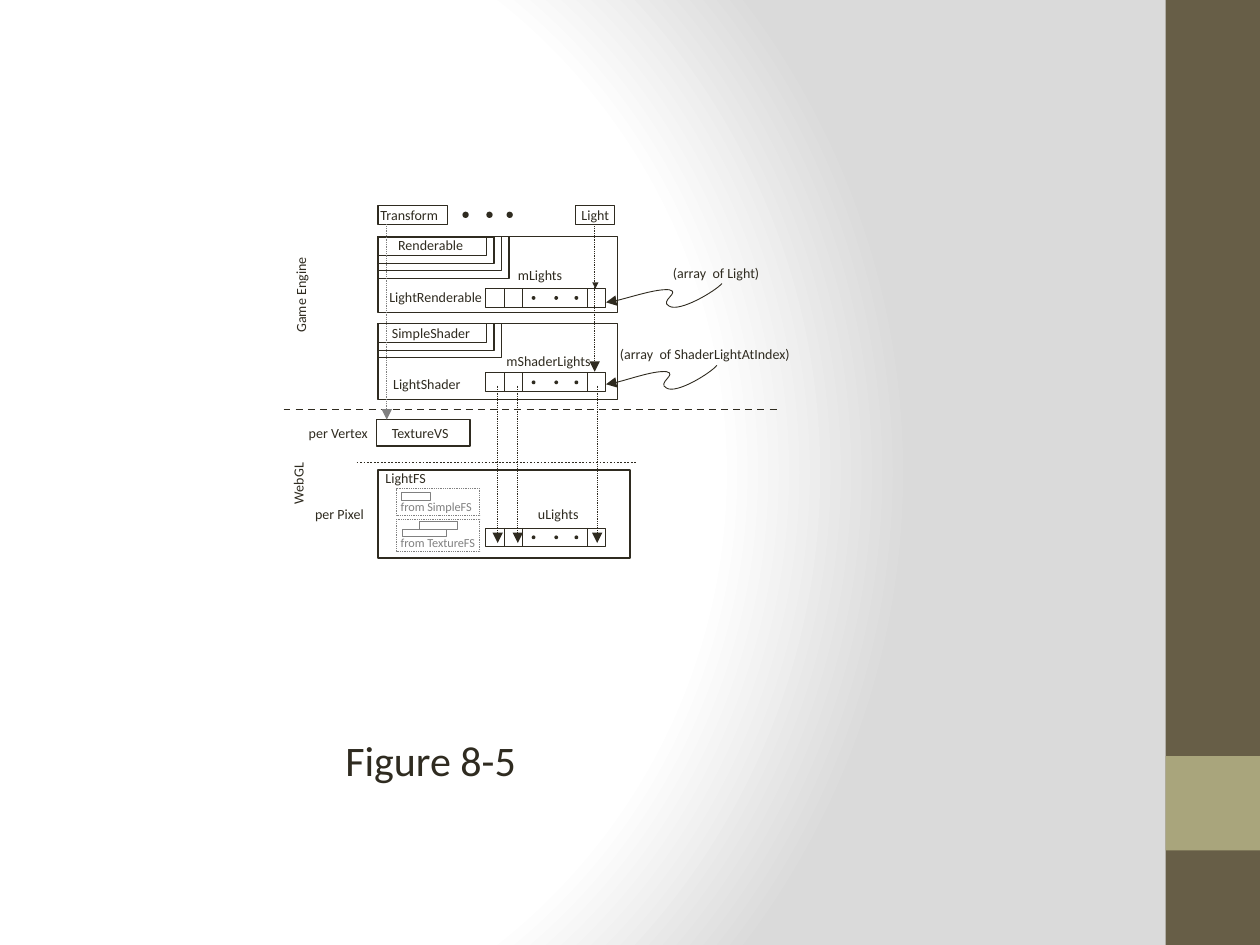
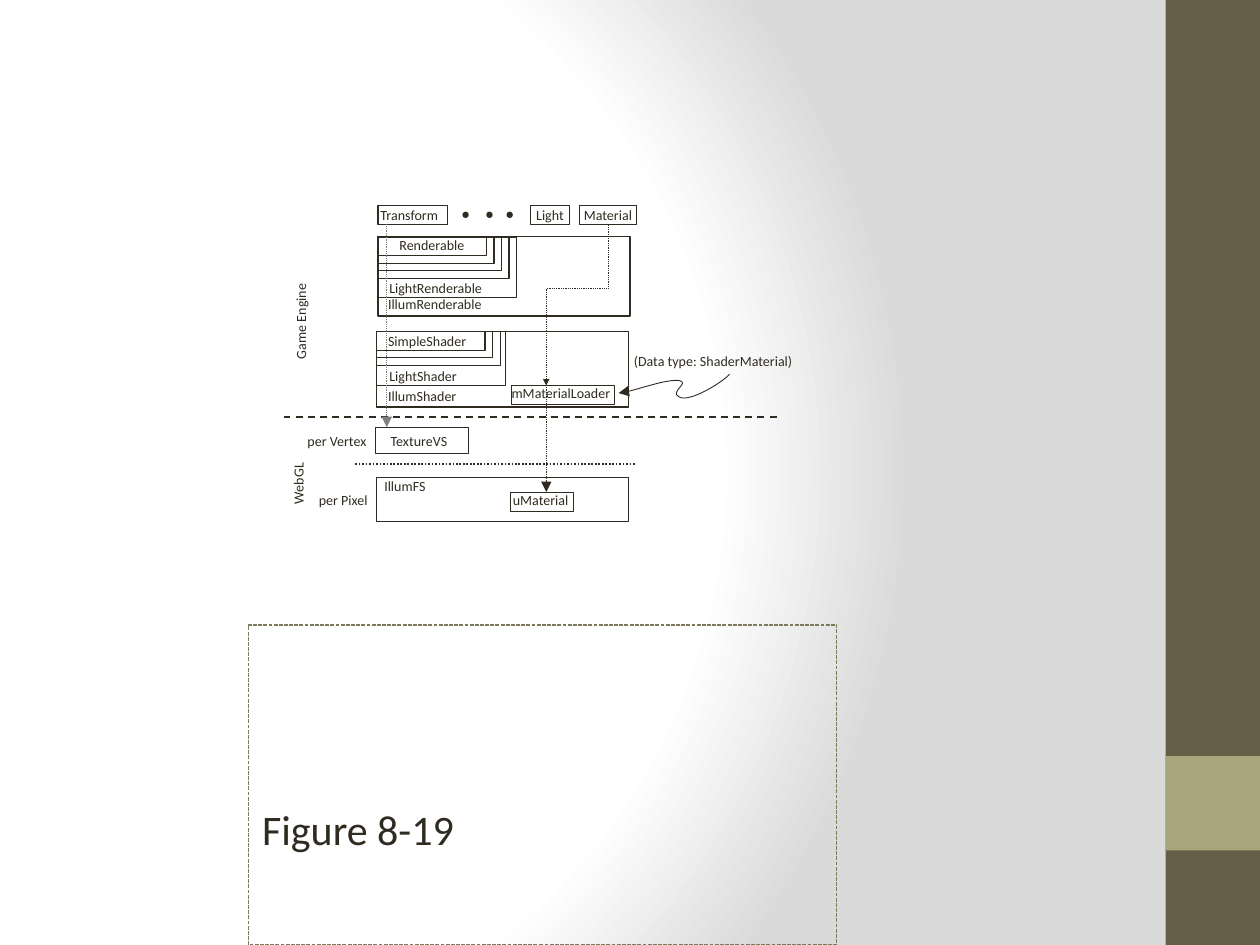
from lxml.etree import SubElement
from pptx import Presentation
from pptx.dml.color import RGBColor
from pptx.enum.dml import MSO_LINE
from pptx.enum.shapes import MSO_CONNECTOR, MSO_SHAPE
from pptx.enum.text import MSO_ANCHOR, MSO_AUTO_SIZE, PP_ALIGN
from pptx.oxml import parse_xml
from pptx.oxml.ns import nsdecls, qn
from pptx.util import Inches, Pt

FONT = "Calibri"
INK = RGBColor(0x2F, 0x2B, 0x20)
GRAY = RGBColor(0x80, 0x80, 0x80)
BROWN = RGBColor(0x67, 0x5E, 0x47)
OLIVE = RGBColor(0xA9, 0xA5, 0x7C)
OLIVE_DARK = RGBColor(0x7D, 0x7A, 0x5C)

ROW = 0.15    # height of a one-line box
STEP = 0.06   # growth from one nested box to the next

BACKDROP = f"""<a:gradFill {nsdecls('a')} rotWithShape="1"><a:gsLst>
<a:gs pos="0"><a:srgbClr val="FFFFFF"/></a:gs>
<a:gs pos="75000"><a:srgbClr val="FFFFFF"/></a:gs>
<a:gs pos="100000"><a:srgbClr val="DADADA"/></a:gs></a:gsLst>
<a:path path="circle"><a:fillToRect l="20000" t="50000" r="100000" b="50000"/></a:path>
</a:gradFill>"""


# Basic parts
def set_line(line, color, weight, dash=None):
    line.color.rgb = color
    line.width = Pt(weight)
    if dash:
        line.dash_style = dash


def set_arrow(shape, end="tailEnd"):
    SubElement(shape.line._get_or_add_ln(), qn(f"a:{end}"), type="triangle")


def add_box(slide, left, top, width, height, color=INK, weight=0.75, dash=None):
    box = slide.shapes.add_shape(MSO_SHAPE.RECTANGLE, Inches(left), Inches(top),
                                 Inches(width), Inches(height))
    box.shadow.inherit = False
    box.fill.background()
    set_line(box.line, color, weight, dash)
    return box


def add_solid(slide, kind, left, top, width, height, color=INK):
    shape = slide.shapes.add_shape(kind, Inches(left), Inches(top),
                                   Inches(width), Inches(height))
    shape.shadow.inherit = False
    shape.fill.solid()
    shape.fill.fore_color.rgb = color
    shape.line.fill.background()
    return shape


def add_line(slide, start, end, color=INK, weight=0.5, dash=None, arrow=None,
             kind=MSO_CONNECTOR.STRAIGHT):
    line = slide.shapes.add_connector(kind, *(Inches(value) for value in (*start, *end)))
    set_line(line.line, color, weight, dash)
    if arrow:
        set_arrow(line, arrow)
    SubElement(line._element.spPr, qn("a:effectLst"))
    return line


def write(shape, text, size, color=INK, align=PP_ALIGN.LEFT):
    frame = shape.text_frame
    frame.word_wrap = False
    frame.auto_size = MSO_AUTO_SIZE.NONE
    frame.vertical_anchor = MSO_ANCHOR.TOP
    frame.margin_left = frame.margin_right = 0
    frame.margin_top = frame.margin_bottom = Inches(0.05)
    para = frame.paragraphs[0]
    para.alignment = align
    span = para.add_run()
    span.text = text
    span.font.name = FONT
    span.font.size = Pt(size)
    span.font.color.rgb = color


def add_label(slide, text, left, top, width, size=8, rotation=0, **style):
    label = slide.shapes.add_textbox(Inches(left), Inches(top), Inches(width),
                                     Inches(0.24 if size == 8 else 0.22))
    label.rotation = rotation
    write(label, text, size, **style)


def add_dotted_arrow(slide, left, top, bottom, color=INK):
    add_line(slide, (left, top), (left, bottom), color, dash=MSO_LINE.ROUND_DOT,
             arrow="tailEnd")


def add_arrowhead(slide, left, top):
    add_solid(slide, MSO_SHAPE.ISOSCELES_TRIANGLE, left, top, 0.05, 0.05).rotation = 180


def add_curl(slide, tip_left, tip_top, width=0.88):
    """Curly pointer that runs from the upper right to its tip."""
    def place(x, y):
        return Inches(tip_left + x * width / 0.88), Inches(tip_top + y)

    curves = [((0.83, -0.09), (0.56, 0.08), (0.48, 0.03)),
              ((0.40, -0.01), (0.57, -0.08), (0.48, -0.10)),
              ((0.38, -0.11), (0.07, 0), (0, 0))]
    builder = slide.shapes.build_freeform(*place(0.88, -0.15))
    builder.add_line_segments([place(*curve[-1]) for curve in curves], close=False)
    curl = builder.convert_to_shape()
    curl.shadow.inherit = False
    curl.fill.background()
    set_line(curl.line, INK, 0.5)
    set_arrow(curl)
    # Turn the straight segments into Bezier curves
    segments = list(curl._element.iter(qn("a:lnTo")))
    for segment, curve in zip(segments, curves):
        segment.tag = qn("a:cubicBezTo")
        for index, control in enumerate(curve[:2]):
            x, y = place(*control)
            point = SubElement(segment, qn("a:pt"), x=str(x - curl.left), y=str(y - curl.top))
            segment.insert(index, point)


# Regions of a diagram
def add_header(slide, names):
    """Row of boxed objects: Transform, three dots, then the given names."""
    add_label(slide, "Transform", 3.02, 1.59, 0.5)
    add_box(slide, 3, 1.63, 0.55, ROW)
    for left in (3.67, 3.86, 4.02):
        add_solid(slide, MSO_SHAPE.OVAL, left, 1.68, 0.05, 0.05)
    for text, left, width, text_width in names:
        add_label(slide, text, left + (width - text_width) / 2, 1.59, text_width,
                  align=PP_ALIGN.CENTER)
        add_box(slide, left, 1.63, width, ROW)


def add_stack(slide, left, top, steps, outers, labels):
    """Nested boxes sharing a corner; labels are (text, dx, dy, width)."""
    sizes = [(0.86 + STEP * i, ROW + STEP * i) for i in range(steps)]
    for width, height in sizes + outers:
        add_box(slide, left, top, width, height)
    for text, dx, dy, width in labels:
        add_label(slide, text, left + dx, top + dy, width)


def add_array(slide, left, top):
    """Row of cells with three dots for those left out."""
    add_box(slide, left, top, 0.96, ROW, weight=0.5)
    for dx in (0.15, 0.3, 0.81):
        add_line(slide, (left + dx, top), (left + dx, top + ROW))
    for dx in (0.37, 0.55, 0.71):
        add_solid(slide, MSO_SHAPE.OVAL, left + dx, top + 0.06, 0.03, 0.03)


def add_stages(slide, left, top, engine_top, pixel_line, pixel_label):
    """Engine and WebGL parts, divided by the dashed line at top."""
    add_label(slide, "Game Engine", 2.08, engine_top, 0.62, rotation=270)
    add_label(slide, "WebGL", 2.18, 3.69, 0.38, rotation=270)
    add_line(slide, (2.25, top), (6.18, top), weight=1, dash=MSO_LINE.DASH)
    add_label(slide, "per Vertex", left - 0.54, top + 0.07, 0.51)
    add_box(slide, left, top + 0.08, 0.74, 0.21)
    add_label(slide, "TextureVS", left + 0.12, top + 0.07, 0.51)
    add_line(slide, (left - 0.16, pixel_line), (left + 2.07, pixel_line), weight=1,
             dash=MSO_LINE.ROUND_DOT)
    add_label(slide, "per Pixel", *pixel_label, 0.41)
    add_dotted_arrow(slide, 3.07, 1.78, top + 0.08, GRAY)


def add_source_shader(slide, text, left, top, height, text_top, bars):
    """Grey dotted box for code taken over from another shader."""
    add_box(slide, left, top, 0.66, height, GRAY, 0.5, MSO_LINE.ROUND_DOT)
    for bar_left, bar_top, width in bars:
        add_box(slide, bar_left, bar_top, width, 0.06, GRAY, 0.5)
    add_label(slide, text, left + 0.03, text_top, 0.62, size=7, color=GRAY)


def add_figure_slide(deck, title, left, top):
    slide = deck.slides.add_slide(deck.slide_layouts[5])
    box = slide.shapes.title
    box.left, box.top, box.width, box.height = map(Inches, (left, top, 3.93, 0.5))
    write(box, title, 24)
    return slide


# Slides
def build_lights(deck):
    slide = add_figure_slide(deck, "Figure 8-5", 2.74, 5.78)
    add_header(slide, [("Light", 4.57, 0.31, 0.22)])
    add_stack(slide, 3, 1.88, 4, [(1.9, 0.6)],
              [("Renderable", 0.16, -0.05, 0.53), ("LightRenderable", 0.09, 0.36, 0.8),
               ("mLights", 1.11, 0.19, 0.41)])
    add_stack(slide, 3, 2.57, 3, [(1.9, 0.6)],
              [("SimpleShader", 0.11, -0.04, 0.68), ("LightShader", 0.12, 0.36, 0.68),
               ("mShaderLights", 1.02, 0.18, 0.67)])
    add_stages(slide, 2.99, 3.25, 2.21, 3.67, (2.5, 3.96))
    # Fragment shader
    add_box(slide, 3, 3.73, 2, 0.7)
    add_label(slide, "LightFS", 3.06, 3.68, 0.47)
    add_source_shader(slide, "from SimpleFS", 3.15, 3.88, 0.21, 3.91, [(3.19, 3.91, 0.23)])
    add_source_shader(slide, "from TextureFS", 3.15, 4.12, 0.26, 4.2,
                      [(3.33, 4.14, 0.3), (3.19, 4.2, 0.35)])
    add_label(slide, "uLights", 4.27, 3.96, 0.37)
    # Light arrays and the flow between them
    for top in (2.29, 2.96, 4.19):
        add_array(slide, 3.85, top)
    add_dotted_arrow(slide, 4.72, 1.78, 2.95)
    add_arrowhead(slide, 4.7, 2.24)
    for left in (3.95, 4.11, 4.74):
        add_dotted_arrow(slide, left, 3.06, 4.31)
    # Notes on the arrays
    add_label(slide, "(array  of Light)", 5.34, 2.05, 0.75)
    add_curl(slide, 4.81, 2.4, 0.92)
    add_label(slide, "(array  of ShaderLightAtIndex)", 4.92, 2.69, 1.63)
    add_curl(slide, 4.81, 3.05)


def build_material(deck):
    slide = add_figure_slide(deck, "Figure 8-19", 2.08, 6.33)
    add_box(slide, 1.97, 4.96, 4.67, 2.54, OLIVE_DARK, 0.75, MSO_LINE.SQUARE_DOT)
    add_header(slide, [("Light", 4.21, 0.31, 0.22), ("Material", 4.6, 0.45, 0.45)])
    add_stack(slide, 3, 1.88, 4, [(1.1, 0.48), (2, 0.63)],
              [("Renderable", 0.17, -0.05, 0.53), ("LightRenderable", 0.09, 0.29, 0.8),
               ("IllumRenderable", 0.08, 0.42, 0.8)])
    add_stack(slide, 2.99, 2.63, 3, [(1.02, 0.43), (2, 0.6)],
              [("SimpleShader", 0.09, -0.04, 0.63), ("LightShader", 0.1, 0.24, 0.68),
               ("IllumShader", 0.09, 0.4, 0.68)])
    add_stages(slide, 2.98, 3.31, 2.42, 3.68, (2.53, 3.85))
    # Fragment shader
    add_box(slide, 2.99, 3.79, 2, 0.35)
    add_label(slide, "IllumFS", 3.05, 3.74, 0.47)
    # Material flow: an elbow turned by 90 degrees
    add_label(slide, "mMaterialLoader", 4.06, 3, 0.81)
    add_box(slide, 4.06, 3.06, 0.82, ROW, weight=0.5)
    add_label(slide, "uMaterial", 4.07, 3.85, 0.49)
    add_box(slide, 4.05, 3.91, 0.5, ROW, weight=0.5)
    elbow = add_line(slide, (5.64, 3.09), (3.52, 2.6), dash=MSO_LINE.ROUND_DOT,
                     arrow="headEnd", kind=MSO_CONNECTOR.ELBOW)
    outline = elbow._element.spPr
    outline.find(qn("a:xfrm")).set("rot", "5400000")
    SubElement(outline.find(qn("a:prstGeom")).find(qn("a:avLst")), qn("a:gd"),
               name="adj1", fmla="val 76300")
    add_arrowhead(slide, 4.31, 3.01)
    # Note on the loader
    add_label(slide, "(Data type: ShaderMaterial)", 5.03, 2.75, 1.42)
    add_curl(slide, 4.91, 3.12)


def style_master(deck):
    """Gradient backdrop and side bands for all slides."""
    master = deck.slide_master
    master.background.fill.solid()
    properties = master._element.find(f".//{qn('p:bgPr')}")
    properties.replace(properties.find(qn("a:solidFill")), parse_xml(BACKDROP))
    for top, height, color in ((0, 7.5, BROWN), (6, 0.75, OLIVE)):
        band = add_solid(deck.slides[0], MSO_SHAPE.RECTANGLE, 9.25, top, 0.75, height, color)
        master.shapes._spTree.append(band._element)


deck = Presentation()
deck.slide_width, deck.slide_height = Inches(10), Inches(7.5)
build_lights(deck)
build_material(deck)
style_master(deck)
deck.save("out.pptx")
